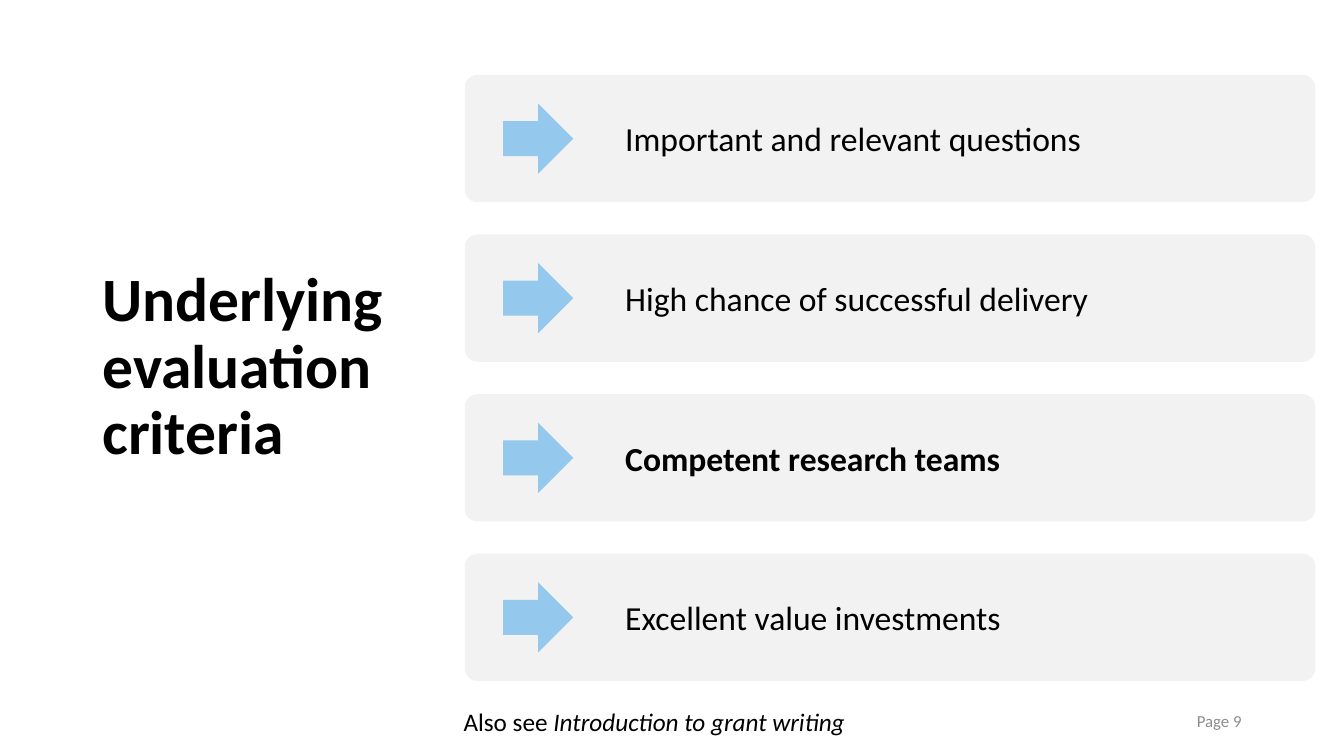
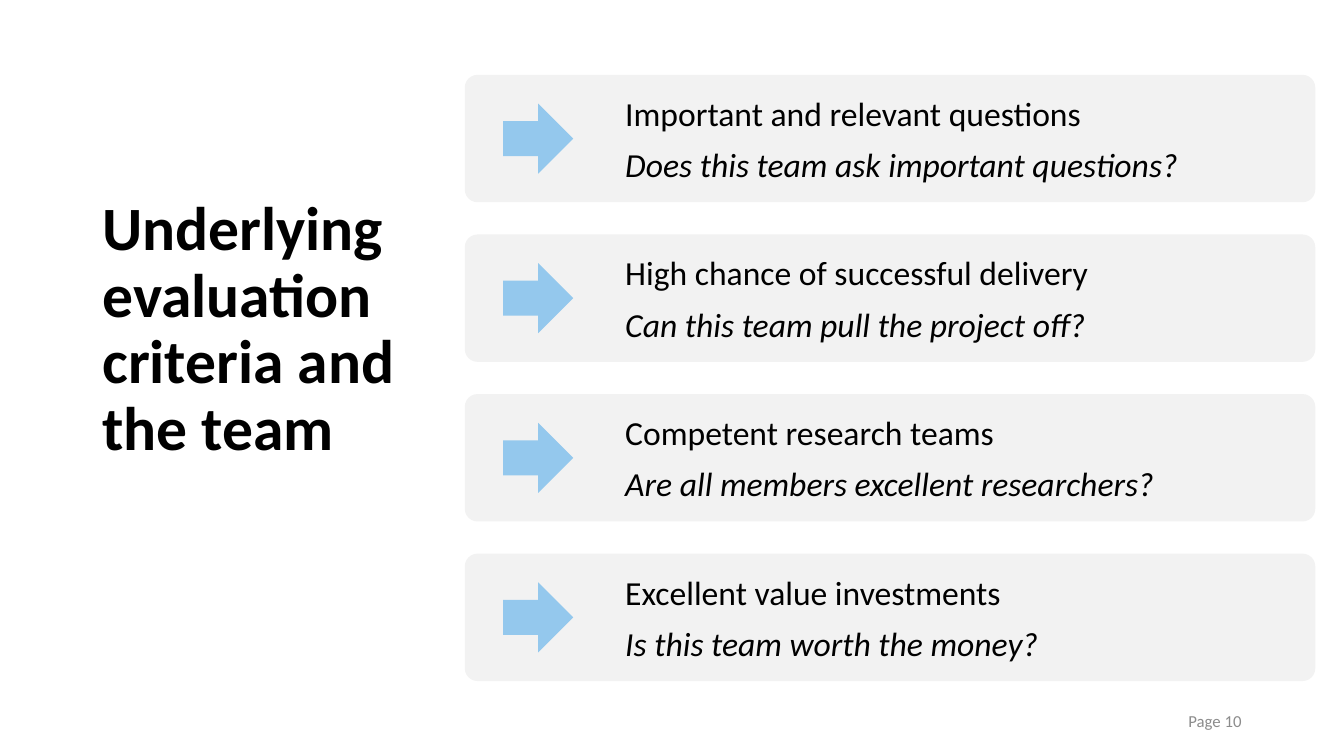
"""Build two slides that list grant evaluation criteria on arrow cards."""
from dataclasses import dataclass

from pptx import Presentation
from pptx import util as u
from pptx.dml.color import RGBColor
from pptx.enum import shapes, text


@dataclass(frozen=True)
class Theme:
    font: str = "Calibri"
    ink: str = "000000"
    muted: str = "8C8C8C"
    card: str = "F2F2F2"
    arrow: str = "94C8ED"
    title: int = 44
    body: int = 24
    note: int = 18
    footer: int = 12


theme = Theme()
LEFT, CENTRE, RIGHT = text.PP_ALIGN.LEFT, text.PP_ALIGN.CENTER, text.PP_ALIGN.RIGHT


def add_text(page, area, lines, size, colour=theme.ink, margins=None, **para_format):
    """Add a text box; each line is a list of (words, font values) spans."""
    box = page.shapes.add_textbox(*map(u.Pt, area))
    frame = box.text_frame
    frame.word_wrap = True
    frame.vertical_anchor = text.MSO_ANCHOR.MIDDLE
    for side, margin in (margins or {}).items():
        setattr(frame, f"margin_{side}", u.Pt(margin))
    for index, spans in enumerate(lines):
        para = frame.add_paragraph() if index else frame.paragraphs[0]
        for name, value in para_format.items():
            setattr(para, name, value)
        for words, style in spans:
            span = para.add_run()
            span.text = words
            span.font.color.rgb = RGBColor.from_string(colour)
            for name, value in {"name": theme.font, "size": u.Pt(size), **style}.items():
                setattr(span.font, name, value)


def add_block(page, kind, area, colour):
    """Add a flat, filled preset shape without an outline."""
    block = page.shapes.add_shape(kind, *map(u.Pt, area))
    block.shadow.inherit = False
    block.fill.solid()
    block.fill.fore_color.rgb = RGBColor.from_string(colour)
    block.line.fill.background()
    return block


BOLD, ITALIC = {"bold": True}, {"italic": True}
CARD_LEFT, CARD_TOP, CARD_WIDTH, CARD_HEIGHT, CARD_GAP = 332, 53.5, 607.5, 91, 23
ARROW_INDENT, ARROW_SIZE, TEXT_INDENT = 27.5, 50, 105
CARD_MARGINS = dict.fromkeys(("left", "top", "right", "bottom"), 9.6)

criteria = [
    ("Important and relevant questions", "Does this team ask important questions?"),
    ("High chance of successful delivery", "Can this team pull the project off?"),
    ("Competent research teams", "Are all members excellent researchers?"),
    ("Excellent value investments", "Is this team worth the money?"),
]
slides = [
    {
        "title": "Underlying evaluation criteria",
        "title_bottom": 3.6,
        "footer": "Page 9",
        "cards": [
            [[(criterion, BOLD if criterion == "Competent research teams" else {})]]
            for criterion, _ in criteria
        ],
        "note": [("Also see ", {}), ("Introduction to grant writing", ITALIC)],
    },
    {
        "title": "Underlying evaluation criteria and the team",
        "title_bottom": 57.6,
        "footer": "Page 10",
        "cards": [
            [[(criterion, {})], [(question, ITALIC)]] for criterion, question in criteria
        ],
        "note": None,
    },
]

deck = Presentation()
deck.slide_width, deck.slide_height = u.Pt(960), u.Pt(540)

for content in slides:
    page = deck.slides.add_slide(deck.slide_layouts[6])
    add_text(page, (66, 44, 266, 438), [[(content["title"], BOLD)]], theme.title,
             margins={"bottom": content["title_bottom"]},
             line_spacing=0.9, space_after=u.Pt(6))
    add_text(page, (678, 500.5, 216, 28.8), [[(content["footer"], {})]], theme.footer,
             theme.muted, alignment=RIGHT, space_after=u.Pt(6))

    for row, lines in enumerate(content["cards"]):
        top = CARD_TOP + row * (CARD_HEIGHT + CARD_GAP)
        card = add_block(page, shapes.MSO_SHAPE.ROUNDED_RECTANGLE,
                         (CARD_LEFT, top, CARD_WIDTH, CARD_HEIGHT), theme.card)
        card.adjustments[0] = 0.1
        add_block(page, shapes.MSO_SHAPE.RIGHT_ARROW,
                  (CARD_LEFT + ARROW_INDENT, top + (CARD_HEIGHT - ARROW_SIZE) / 2,
                   ARROW_SIZE, ARROW_SIZE), theme.arrow)
        add_text(page, (CARD_LEFT + TEXT_INDENT, top, CARD_WIDTH - TEXT_INDENT, CARD_HEIGHT),
                 lines, theme.body, margins=CARD_MARGINS, space_after=u.Pt(8))

    if content["note"]:
        add_text(page, (324, 501, 300, 29), [content["note"]], theme.note, alignment=LEFT)

deck.save("out.pptx")
